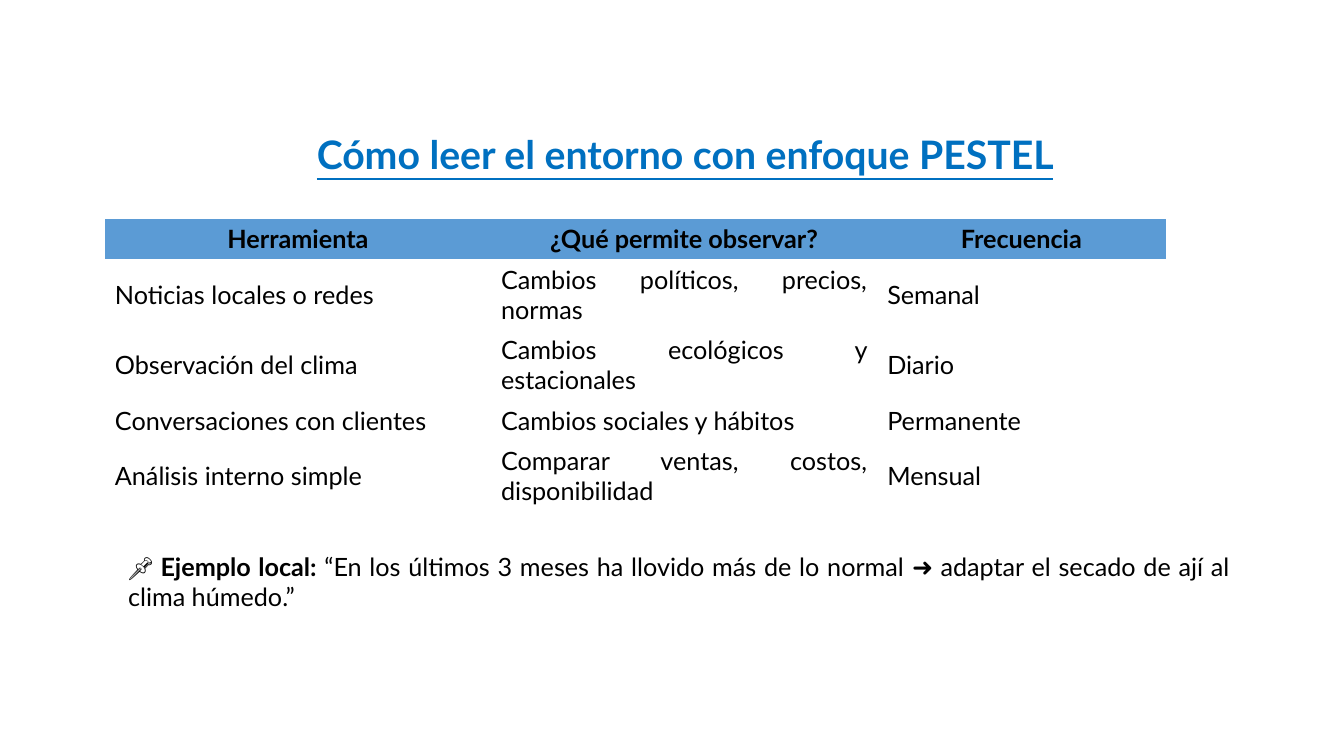
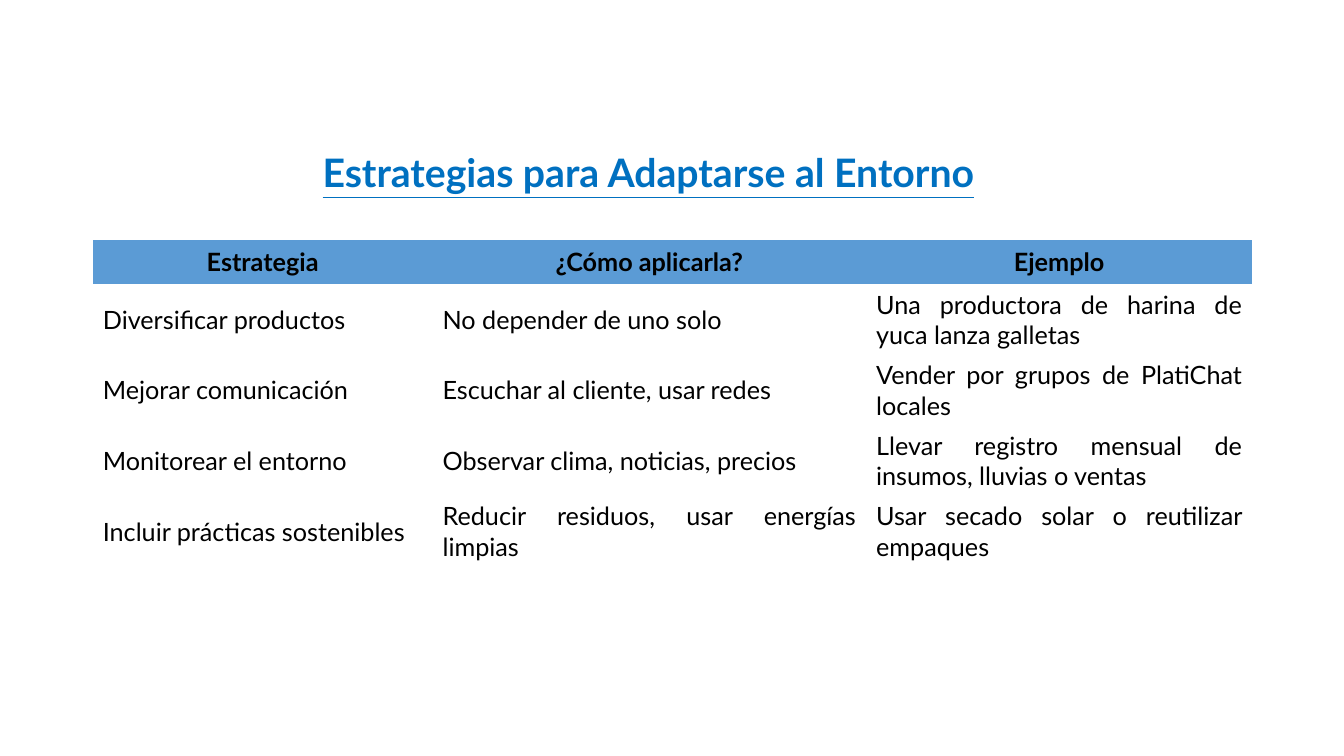
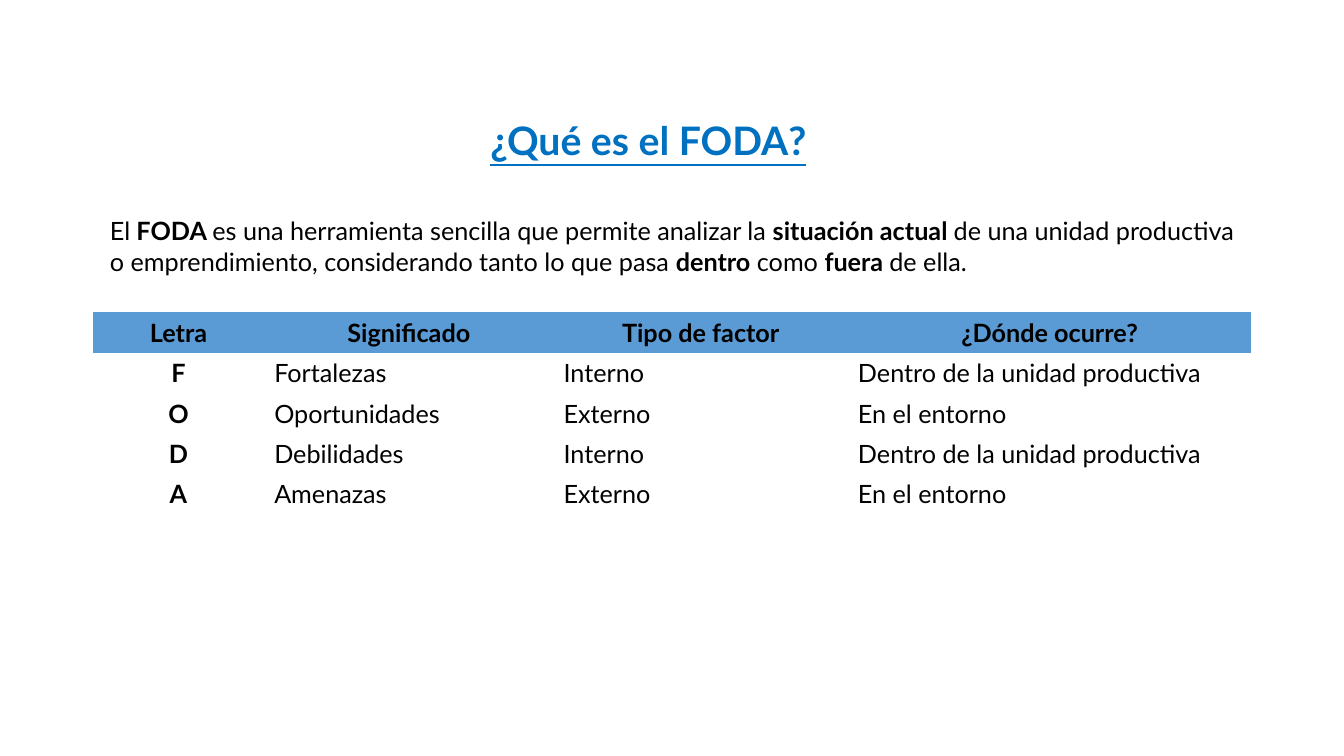
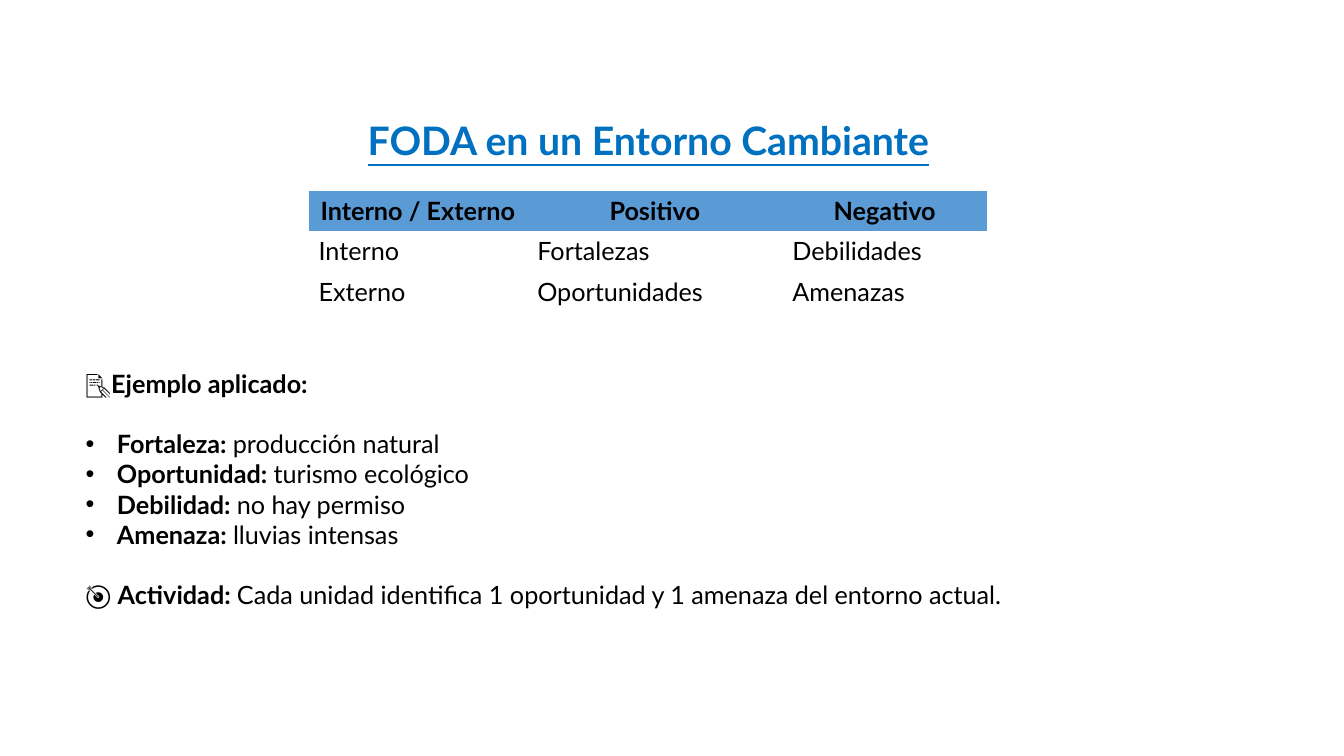
from dataclasses import dataclass

from lxml import etree
from pptx import Presentation
from pptx import util as u
from pptx.dml.color import RGBColor
from pptx.enum import text
from pptx.oxml import ns


@dataclass(frozen=True)
class Theme:
    font: str = "Lato"
    heading: str = "0070C0"
    ink: str = "000000"
    header_fill: str = "5B9BD5"
    heading_size: int = 28
    body_size: int = 18
    line_gap: float = 21.6
    bullet_indent: float = 0.31
    table_style: str = "{2D5ABB26-0587-4C30-8999-92F81FD0307C}"


THEME = Theme()
LEFT, CENTER, JUSTIFY = (
    text.PP_ALIGN.LEFT, text.PP_ALIGN.CENTER, text.PP_ALIGN.JUSTIFY)
TITLE_AND_BODY, TITLE_ONLY = 1, 5
ROW, TALL_ROW = 0.4, 0.7

SLIDES = [
    {
        "title": "Cómo leer el entorno con enfoque PESTEL",
        "title_at": (2.65, 1.24, 8.29, 0.57),
        "table": {
            "origin": (1.04, 2.17),
            "cols": (3.83, 3.83, 2.86),
            "heights": (ROW, TALL_ROW, TALL_ROW, ROW, TALL_ROW),
            "align": JUSTIFY,
            "rows": [
                ("**Herramienta**", "**¿Qué permite observar?**", "**Frecuencia**"),
                ("Noticias locales o redes", "Cambios políticos, precios, normas", "Semanal"),
                ("Observación del clima", "Cambios ecológicos y estacionales", "Diario"),
                ("Conversaciones con clientes", "Cambios sociales y hábitos", "Permanente"),
                ("Análisis interno simple", "Comparar ventas, costos, disponibilidad", "Mensual"),
            ],
        },
        "body_at": (1.17, 5.42, 11.13, 0.71),
        "body": [
            ("plain", "**📌 Ejemplo local: **“En los últimos 3 meses ha llovido más de lo "
                      "normal ➜ adaptar el secado de ají al clima húmedo.”"),
        ],
    },
    {
        "title": "Estrategias para Adaptarse al Entorno",
        "title_at": (2.46, 1.42, 7.94, 0.57),
        "table": {
            "origin": (0.92, 2.38),
            "cols": (3.37, 4.3, 3.83),
            "heights": (0.44,) + (TALL_ROW,) * 4,
            "align": JUSTIFY,
            "rows": [
                ("**Estrategia**", "**¿Cómo aplicarla?**", "**Ejemplo**"),
                ("Diversificar productos", "No depender de uno solo",
                 "Una productora de harina de yuca lanza galletas"),
                ("Mejorar comunicación", "Escuchar al cliente, usar redes",
                 "Vender por grupos de PlatiChat locales"),
                ("Monitorear el entorno", "Observar clima, noticias, precios",
                 "Llevar registro mensual de insumos, lluvias o ventas"),
                ("Incluir prácticas sostenibles", "Reducir residuos, usar energías limpias",
                 "Usar secado solar o reutilizar empaques"),
            ],
        },
    },
    {
        "title": "¿Qué es el FODA?",
        "title_at": (2.46, 1.1, 7.94, 0.57),
        "body_at": (0.99, 2.09, 11.35, 0.71),
        "body": [
            ("plain", "El** FODA **es una herramienta sencilla que permite analizar la "
                      "**situación actual **de una unidad productiva o emprendimiento, "
                      "considerando tanto lo que pasa **dentro** como **fuera **de ella."),
        ],
        "table": {
            "origin": (0.92, 3.1),
            "cols": (1.7, 2.87, 2.92, 4),
            "heights": (ROW,) * 5,
            "align": LEFT,
            "rows": [
                ("**Letra**", "**Significado**", "**Tipo de factor**", "**¿Dónde ocurre?**"),
                ("**F**", "Fortalezas", "Interno", "Dentro de la unidad productiva"),
                ("**O**", "Oportunidades", "Externo", "En el entorno"),
                ("**D**", "Debilidades", "Interno", "Dentro de la unidad productiva"),
                ("**A**", "Amenazas", "Externo", "En el entorno"),
            ],
        },
    },
    {
        "title": "FODA en un Entorno Cambiante",
        "title_at": (2.46, 1.1, 7.94, 0.57),
        "table": {
            "origin": (3.06, 1.89),
            "cols": (2.17, 2.53, 2.03),
            "heights": (ROW,) * 3,
            "align": LEFT,
            "rows": [
                ("**Interno / Externo**", "**Positivo**", "**Negativo**"),
                ("Interno", "Fortalezas", "Debilidades"),
                ("Externo", "Oportunidades", "Amenazas"),
            ],
        },
        "body_at": (0.75, 3.6, 11.35, 2.52),
        "body": [
            ("plain", "**📝Ejemplo aplicado:**"),
            ("bullet", "**Fortaleza: **producción natural"),
            ("bullet", "**Oportunidad: **turismo ecológico"),
            ("bullet", "**Debilidad: **no hay permiso"),
            ("bullet", "**Amenaza: **lluvias intensas"),
            ("plain", "🎯 **Actividad: **Cada unidad identifica 1 oportunidad y 1 amenaza "
                      "del entorno actual."),
        ],
    },
]


def assign(target, values):
    for name, value in values.items():
        setattr(target, name, value)


def write(paragraph, marked, align, size=THEME.body_size, color=THEME.ink, underline=False):
    assign(paragraph, {"alignment": align, "space_before": u.Pt(0),
                       "space_after": u.Pt(0), "line_spacing": 1.0})
    for index, part in enumerate(marked.split("**")):
        if part:
            run = paragraph.add_run()
            run.text = part
            assign(run.font, {"name": THEME.font, "size": u.Pt(size),
                              "bold": index % 2 == 1, "underline": underline})
            run.font.color.rgb = RGBColor.from_string(color)


def place(holder, box, anchor):
    assign(holder, dict(zip(("left", "top", "width", "height"), map(u.Inches, box))))
    assign(holder.text_frame, {
        "word_wrap": True, "auto_size": text.MSO_AUTO_SIZE.NONE, "vertical_anchor": anchor,
        "margin_left": u.Inches(0.1), "margin_right": u.Inches(0.1),
        "margin_top": u.Inches(0.05), "margin_bottom": u.Inches(0.05)})
    return holder.text_frame


def set_bullet(paragraph, bulleted):
    props = paragraph._p.get_or_add_pPr()
    indent = u.Inches(THEME.bullet_indent) if bulleted else 0
    props.set("marL", str(indent))
    props.set("indent", str(-indent))
    if bulleted:
        etree.SubElement(props, ns.qn("a:buFont")).set("typeface", "Arial")
        etree.SubElement(props, ns.qn("a:buChar")).set("char", "•")
    else:
        etree.SubElement(props, ns.qn("a:buNone"))


def add_body(holder, box, lines):
    frame = place(holder, box, text.MSO_ANCHOR.TOP)
    previous = lines[0][0]
    for index, (kind, marked) in enumerate(lines):
        paragraph = frame.add_paragraph() if index else frame.paragraphs[0]
        write(paragraph, marked, JUSTIFY)
        if kind != previous:
            paragraph.space_before = u.Pt(THEME.line_gap)
        set_bullet(paragraph, kind == "bullet")
        previous = kind


def add_grid(slide, origin, cols, heights, align, rows):
    size = (sum(cols), sum(heights))
    table = slide.shapes.add_table(
        len(rows), len(cols), *map(u.Inches, origin + size)).table
    assign(table, {"first_row": False, "horz_banding": False})
    table._tbl.tblPr.find(ns.qn("a:tableStyleId")).text = THEME.table_style
    for column, width in zip(table.columns, cols):
        column.width = u.Inches(width)
    for r, (values, height) in enumerate(zip(rows, heights)):
        table.rows[r].height = u.Inches(height)
        for c, marked in enumerate(values):
            cell = table.cell(r, c)
            cell.vertical_anchor = text.MSO_ANCHOR.MIDDLE
            if r == 0:
                cell.fill.solid()
                cell.fill.fore_color.rgb = RGBColor.from_string(THEME.header_fill)
            else:
                cell.fill.background()
            write(cell.text_frame.paragraphs[0], marked,
                  CENTER if marked.startswith("**") else align)


def main():
    deck = Presentation()
    assign(deck, {"slide_width": u.Inches(13.33), "slide_height": u.Inches(7.5)})
    for content in SLIDES:
        layout = TITLE_AND_BODY if "body" in content else TITLE_ONLY
        slide = deck.slides.add_slide(deck.slide_layouts[layout])
        heading = place(slide.shapes.title, content["title_at"], text.MSO_ANCHOR.TOP)
        write(heading.paragraphs[0], f"**{content['title']}**", CENTER,
              THEME.heading_size, THEME.heading, True)
        if "body" in content:
            add_body(slide.placeholders[1], content["body_at"], content["body"])
        add_grid(slide, **content["table"])
    deck.save("out.pptx")


if __name__ == "__main__":
    main()
